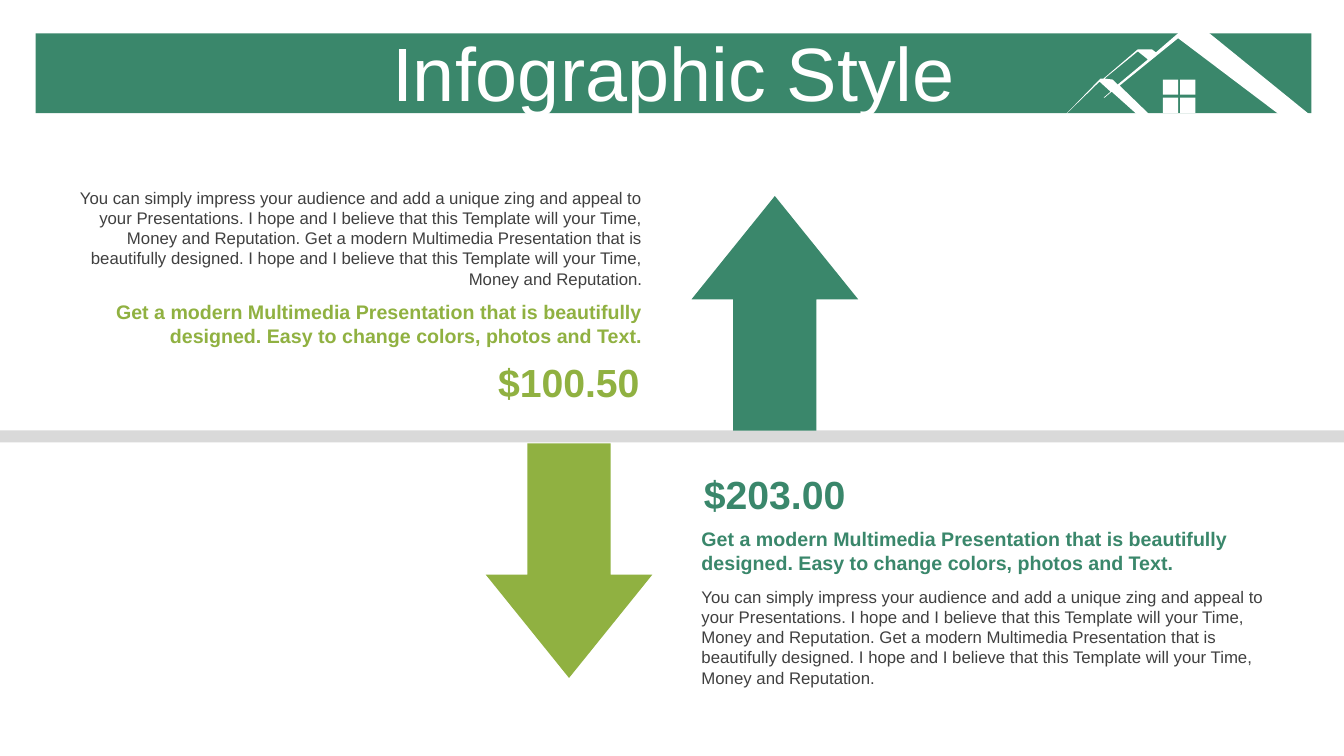
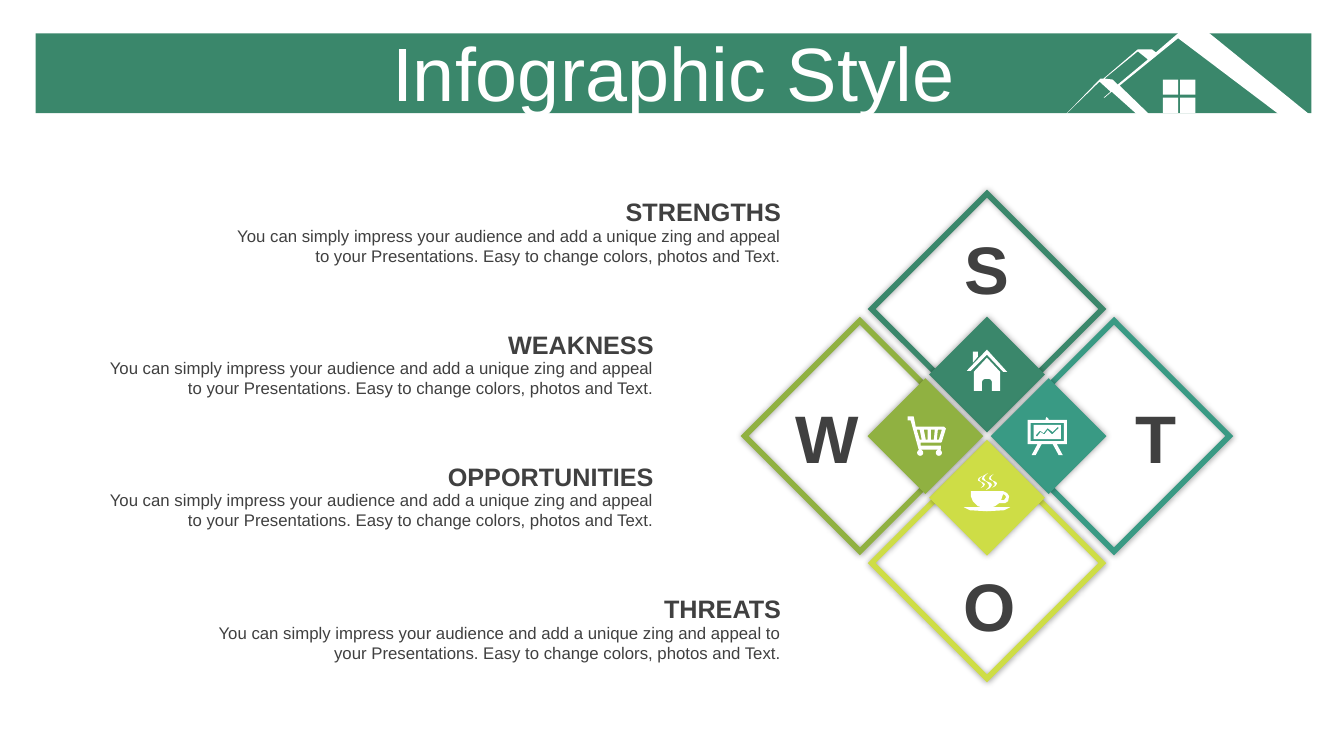
"""Build two infographic slides: a rise and fall pair, and a SWOT diamond."""
from dataclasses import dataclass
from math import cos, pi, sin

from pptx import Presentation
from pptx.dml.color import RGBColor
from pptx.enum.shapes import MSO_SHAPE as Shape
from pptx.enum.text import MSO_ANCHOR as Anchor, PP_ALIGN as Align
from pptx.oxml import parse_xml
from pptx.oxml.ns import nsdecls, qn
from pptx.util import Pt


@dataclass(frozen=True)
class Theme:
    """Colours, font and type sizes of the deck."""
    green: str = "3A876B"
    leaf: str = "90B141"
    teal: str = "399A84"
    lime: str = "CEDD46"
    ink: str = "404040"
    rule: str = "D9D9D9"
    white: str = "FFFFFF"
    font: str = "Arial"
    title: int = 54
    letter: int = 48
    price: int = 28
    topic: int = 18
    lead: int = 14
    body: int = 12


T = Theme()
GLYPH_UNIT = 0.72

TITLE = "Infographic Style"
LEAD = ("Get a modern Multimedia Presentation that is beautifully designed. "
        "Easy to change colors, photos and Text.")
BODY = ("You can simply impress your audience and add a unique zing and appeal to your "
        "Presentations. I hope and I believe that this Template will your Time, Money and "
        "Reputation. Get a modern Multimedia Presentation that is beautifully designed. "
        "I hope and I believe that this Template will your Time, Money and Reputation.")
TOPIC_BODY = ("You can simply impress your audience and add a unique zing and appeal to your "
              "Presentations. Easy to change colors, photos and Text.")


def rect_path(x, y, w, h):
    """Return the corners of a rectangle."""
    return [(x, y), (x + w, y), (x + w, y + h), (x, y + h)]


def circle_path(cx, cy, radius, steps=24):
    """Return points around a circle."""
    angles = [2 * pi * i / steps for i in range(steps)]
    return [(cx + radius * cos(a), cy + radius * sin(a)) for a in angles]


def steam_path(x, y, k):
    """Return one curl of steam, scaled by k."""
    curl = [(6, 0), (3, 3), (2, 5), (4, 8), (9, 10), (10, 12), (8, 15), (4, 17),
            (7, 14), (7, 12), (5, 9), (1, 7), (0, 6), (1, 3)]
    return [(x + k * px, y + k * py) for px, py in curl]


ROOFS = [
    *[rect_path(x, y, 15, 15) for x in (99, 116) for y in (46, 64)],
    [(74, 18), (41, 45), (49, 46), (54, 51), (84, 26)],
    [(114, 0), (145, 0), (246, 82), (216, 82), (114, 5), (56, 52), (88, 83), (76, 83),
     (48, 58), (41, 64), (40, 64), (47, 58), (36, 48), (0, 83), (1, 82), (37, 45),
     (40, 45), (74, 16), (88, 16), (92, 19)],
]
HOME = [
    [(20, 8), (33, 22), (33, 41), (25, 41), (25, 32), (24, 30), (22, 29), (18, 29),
     (16, 30), (15, 32), (15, 41), (7, 41), (7, 22)],
    [(6, 2), (11, 2), (11, 7), (6, 13)],
    [(20, 0), (40, 22), (36, 22), (20, 5), (4, 21), (0, 21)],
]
BOARD = [
    [(19, 0), (21, 2), (21, 3), (39, 3), (39, 27), (29, 27), (35, 38), (31, 38), (25, 27),
     (14, 27), (8, 38), (4, 38), (10, 27), (0, 27), (0, 3), (18, 3), (18, 2)],
    rect_path(3, 6, 33, 18),
    rect_path(6, 8, 27, 14),
    [(30, 10), (25, 15), (21, 12), (20, 11), (16, 16), (13, 14), (12, 14), (8, 18.5),
     (9.5, 19.5), (13, 15), (16, 17), (17, 17), (20, 13), (24, 17), (25, 17), (31, 11)],
]
CART = [
    [(6, 0), (8, 10), (36, 10), (38, 12), (34, 25), (33, 26), (13, 26), (13, 29), (33, 29),
     (33, 33), (11, 33), (3, 4), (0, 4), (0, 0)],
    [(9, 13), (12, 23), (14, 23), (12, 13)],
    [(16, 13), (18, 23), (20, 23), (20, 13)],
    [(23, 13), (23, 23), (26, 23), (27, 13)],
    [(30, 13), (29, 23), (31, 23), (34, 13)],
    circle_path(12.5, 36, 3),
    circle_path(31, 36, 3),
]
CUP = [
    [(39, 18), (43, 20), (45, 23), (44, 28), (41, 30), (35, 30), (31, 33), (28, 34), (46, 34),
     (40, 37), (23, 38), (6, 37), (0, 34), (18, 34), (14, 33), (9, 28), (7, 23), (7, 18)],
    [(39, 21), (37, 27), (40, 27), (42, 24), (41, 22)],
    steam_path(18, 0, 1),
    steam_path(25, 1, 0.8),
    steam_path(14, 3, 0.7),
]


def rgb(colour):
    """Turn a hex string into a colour."""
    return RGBColor.from_string(colour)


def paint(sp, colour):
    """Give a shape a flat fill without line or shadow."""
    sp.shadow.inherit = False
    sp.fill.solid()
    sp.fill.fore_color.rgb = rgb(colour)
    sp.line.fill.background()
    return sp


def add_preset(s, kind, x, y, w, h, colour):
    """Add a flat preset shape."""
    return paint(s.shapes.add_shape(kind, Pt(x), Pt(y), Pt(w), Pt(h)), colour)


def add_text(s, x, y, w, h, text, size, colour, bold=False, align=Align.LEFT, anchor=Anchor.TOP):
    """Add a wrapped text box with one paragraph."""
    tf = s.shapes.add_textbox(Pt(x), Pt(y), Pt(w), Pt(h)).text_frame
    tf.word_wrap = True
    tf.vertical_anchor = anchor
    p = tf.paragraphs[0]
    p.text = text
    p.alignment = align
    p.font.name = T.font
    p.font.size = Pt(size)
    p.font.bold = bold
    p.font.color.rgb = rgb(colour)
    return p


def add_glyph(s, contours):
    """Add a white outline drawing made of closed contours."""
    builder = None
    for contour in contours:
        first, *rest = [(Pt(x * GLYPH_UNIT), Pt(y * GLYPH_UNIT)) for x, y in contour]
        if builder is None:
            builder = s.shapes.build_freeform(*first, scale=1.0)
        else:
            builder.move_to(*first)
        builder.add_line_segments(rest, close=True)
    return paint(builder.convert_to_shape(), T.white)


def add_icon(s, contours, cx, cy):
    """Add a glyph centred on a point."""
    sp = add_glyph(s, contours)
    sp.left = Pt(cx) - sp.width // 2
    sp.top = Pt(cy) - sp.height // 2


def add_glow(sp):
    """Put a soft even shadow around a shape."""
    sp.element.spPr.find(qn("a:effectLst")).append(parse_xml(
        f'<a:outerShdw {nsdecls("a")} blurRad="{Pt(5)}" algn="ctr" rotWithShape="0">'
        '<a:srgbClr val="000000"><a:alpha val="40000"/></a:srgbClr></a:outerShdw>'))


def add_diamond(s, cx, cy, side, colour, outlined=False):
    """Add a square turned by 45 degrees, filled or outlined."""
    sp = add_preset(s, Shape.RECTANGLE, cx - side / 2, cy - side / 2, side, side, colour)
    sp.rotation = 45
    if outlined:
        sp.fill.background()
        sp.line.color.rgb = rgb(colour)
        sp.line.width = Pt(4)
        sp.element.spPr.find(qn("a:ln")).append(
            parse_xml(f'<a:miter {nsdecls("a")} lim="800000"/>'))
    add_glow(sp)


def add_arrow(s, kind, x, y, colour):
    """Add a large block arrow."""
    sp = add_preset(s, kind, x, y, 119, 167.5, colour)
    sp.adjustments[0] = 0.5
    sp.adjustments[1] = 0.62


def new_slide(prs):
    """Add a blank slide with the title band."""
    s = prs.slides.add_slide(prs.slide_layouts[6])
    add_preset(s, Shape.RECTANGLE, 25.5, 23.75, 911.25, 57, T.green)
    roofs = add_glyph(s, ROOFS)
    roofs.left, roofs.top = Pt(759.5), Pt(23.75)
    p = add_text(s, 25.5, 26.75, 911.25, 57, TITLE, T.title, T.white,
                 align=Align.CENTER, anchor=Anchor.MIDDLE)
    p.line_spacing = 0.9
    return s


def build_prices(prs):
    """Build the slide with the rising and falling prices."""
    s = new_slide(prs)
    add_preset(s, Shape.RECTANGLE, 0, 307.5, 960, 8.5, T.rule)
    add_arrow(s, Shape.UP_ARROW, 494, 140, T.green)
    add_arrow(s, Shape.DOWN_ARROW, 347, 316.75, T.leaf)
    columns = [
        (34.5, 130.5, 211, 337.5, 252.5, "$100.50", T.leaf, Align.RIGHT),
        (494, 415.5, 373, 484.5, 332, "$203.00", T.green, Align.LEFT),
    ]
    for x, body_y, lead_y, price_x, price_y, price, colour, align in columns:
        add_text(s, price_x, price_y, 137.5, 41, price, T.price, colour, True,
                 Align.CENTER, Anchor.MIDDLE)
        add_text(s, x, lead_y, 431.5, 41, LEAD, T.lead, colour, True, align)
        add_text(s, x, body_y, 431.5, 80, BODY, T.body, T.ink, align=align)


def build_swot(prs):
    """Build the slide with the SWOT diamond."""
    s = new_slide(prs)
    cx, cy = 705, 311.5
    quadrants = [
        ("S", 0, -1, T.green, HOME, 47),
        ("T", 1, 0, T.teal, BOARD, 43),
        ("O", 0, 1, T.lime, CUP, 40),
        ("W", -1, 0, T.leaf, CART, 43),
    ]
    for _, dx, dy, colour, _, _ in quadrants:
        add_diamond(s, cx + 90.75 * dx, cy + 90.75 * dy, 116.5, colour, outlined=True)
    for letter, dx, dy, colour, glyph, reach in quadrants:
        add_diamond(s, cx + 44 * dx, cy + 44 * dy, 58.5, colour)
        add_icon(s, glyph, cx + reach * dx, cy + reach * dy)
        add_text(s, cx + 120.5 * dx - 23.5, cy + 120.5 * dy - 32.75, 47, 65.5, letter,
                 T.letter, T.ink, True, Align.CENTER, Anchor.MIDDLE)
    topics = [("STRENGTHS", 565, 413), ("WEAKNESS", 474, 413),
              ("OPPORTUNITIES", 474, 413), ("THREATS", 565, 416.5)]
    for i, (topic, right, w) in enumerate(topics):
        y = 137 + 94.5 * i
        add_text(s, right - w, y, w, 21.5, topic, T.topic, T.ink, True, Align.RIGHT)
        add_text(s, right - w, y + 20.5, w, 36, TOPIC_BODY, T.body, T.ink, align=Align.RIGHT)


def main():
    """Build and save the deck."""
    prs = Presentation()
    prs.slide_width, prs.slide_height = Pt(960), Pt(540)
    build_prices(prs)
    build_swot(prs)
    prs.save("out.pptx")


if __name__ == "__main__":
    main()
